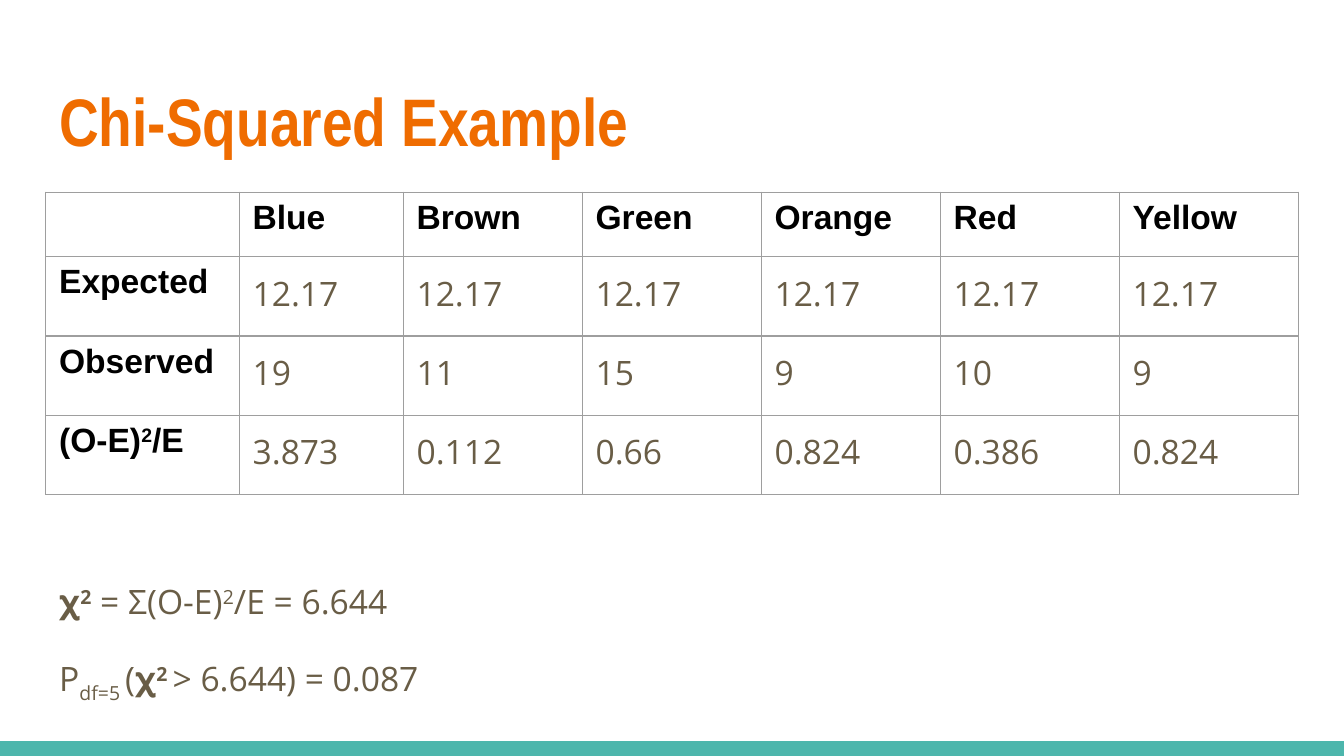
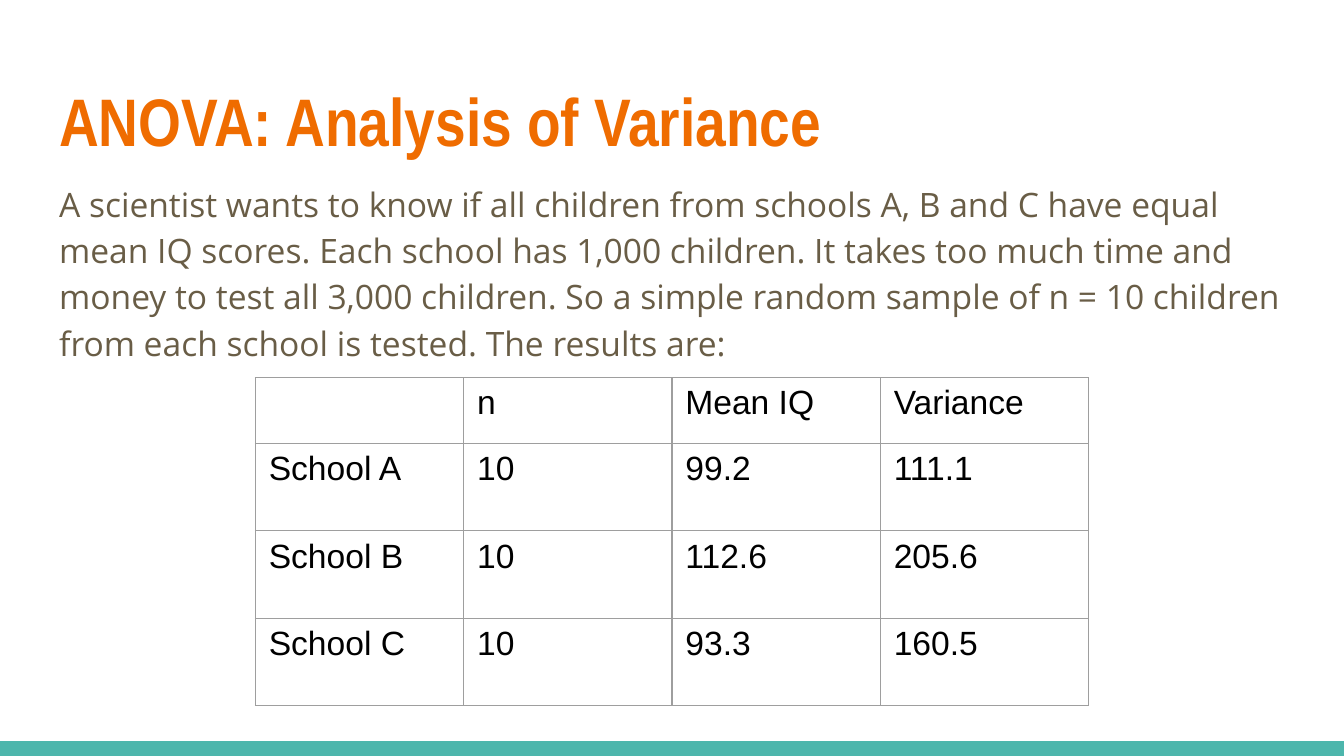
from dataclasses import dataclass

from lxml import etree
from pptx import Presentation
from pptx.dml.color import RGBColor
from pptx.enum.shapes import MSO_SHAPE
from pptx.enum.text import MSO_ANCHOR, MSO_AUTO_SIZE, PP_ALIGN
from pptx.oxml.ns import qn
from pptx.util import Inches, Pt

RECTANGLE = MSO_SHAPE.RECTANGLE
TOP, BOTTOM = MSO_ANCHOR.TOP, MSO_ANCHOR.BOTTOM
NO_AUTOFIT = MSO_AUTO_SIZE.NONE
LEFT = PP_ALIGN.LEFT

SUPERSCRIPT, SUBSCRIPT = 30, -25


@dataclass(frozen=True)
class TextStyle:
    font: str
    size: int
    color: str
    bold: bool = False
    line_spacing: float = 1.0
    space_after: int = 0


@dataclass(frozen=True)
class Theme:
    band: str = "4DB6AC"
    border: str = "9E9E9E"
    border_width: float = 0.75
    paragraph_gap: int = 16
    title: TextStyle = TextStyle("Arial Narrow", 36, "EF6C00", bold=True)
    body: TextStyle = TextStyle("Open Sans", 18, "695D46", line_spacing=1.15)
    label: TextStyle = TextStyle("Arial", 18, "000000", bold=True)
    plain: TextStyle = TextStyle("Arial", 18, "000000")
    value: TextStyle = TextStyle("Open Sans", 18, "695D46",
                                 line_spacing=1.15, space_after=16)


THEME = Theme()
PAGE_WIDTH = 10
PAGE_HEIGHT = PAGE_WIDTH * 9 / 16
MARGIN, CONTENT_WIDTH = 0.34, 9.32
BAND_HEIGHT = 0.11


@dataclass(frozen=True)
class Span:
    text: str
    bold: bool = False
    baseline: int = 0


# Text
def write_paragraph(para, content, style, space_before=0):
    """Fill a paragraph from a string or a list of spans."""
    para.alignment = LEFT
    para.line_spacing = style.line_spacing
    para.space_before = Pt(space_before)
    para.space_after = Pt(style.space_after)
    font = para.font
    font.name = style.font
    font.size = Pt(style.size)
    font.bold = style.bold
    font.color.rgb = RGBColor.from_string(style.color)
    for span in [Span(content)] if isinstance(content, str) else content:
        run = para.add_run()
        run.text = span.text
        if span.bold:
            run.font.bold = True
        if span.baseline:
            run._r.get_or_add_rPr().set("baseline", str(span.baseline * 1000))


def remove_bullet(para):
    properties = para._p.get_or_add_pPr()
    properties.set("marL", "0")
    properties.set("indent", "0")
    etree.SubElement(properties, qn("a:buNone"))


def place_box(box, top, height, anchor=TOP, bottom_inset=0.1):
    box.left, box.top = Inches(MARGIN), Inches(top)
    box.width, box.height = Inches(CONTENT_WIDTH), Inches(height)
    frame = box.text_frame
    frame.word_wrap = True
    frame.auto_size = NO_AUTOFIT
    frame.vertical_anchor = anchor
    frame.margin_left = frame.margin_right = frame.margin_top = Inches(0.1)
    frame.margin_bottom = Inches(bottom_inset)
    return frame


def add_body(page, paragraphs, top, height, **placement):
    frame = place_box(page.placeholders[1], top, height, **placement)
    for index, content in enumerate(paragraphs):
        para = frame.add_paragraph() if index else frame.paragraphs[0]
        remove_bullet(para)
        write_paragraph(para, content, THEME.body,
                        THEME.paragraph_gap if index else 0)


# Page with title and footer band
def add_page(deck, title):
    page = deck.slides.add_slide(deck.slide_layouts[1])
    band = page.shapes.add_shape(
        RECTANGLE, 0, Inches(PAGE_HEIGHT - BAND_HEIGHT),
        Inches(PAGE_WIDTH), Inches(BAND_HEIGHT))
    band.shadow.inherit = False
    band.fill.solid()
    band.fill.fore_color.rgb = RGBColor.from_string(THEME.band)
    band.line.fill.background()
    frame = place_box(page.shapes.title, 0.49, 0.77)
    write_paragraph(frame.paragraphs[0], title, THEME.title)
    return page


# Tables
def draw_borders(cell):
    properties = cell._tc.get_or_add_tcPr()
    for side in ("lnL", "lnR", "lnT", "lnB"):
        line = etree.SubElement(properties, qn(f"a:{side}"),
                                w=str(Pt(THEME.border_width)))
        fill = etree.SubElement(line, qn("a:solidFill"))
        etree.SubElement(fill, qn("a:srgbClr"), val=THEME.border)


def add_grid(page, rows, left, top, widths, heights, label_style, value_style):
    """Add a bordered table whose first row and column hold labels."""
    table = page.shapes.add_table(
        len(rows), len(widths), Inches(left), Inches(top),
        Inches(sum(widths)), Inches(sum(heights))).table
    table.first_row = table.horz_banding = False
    for column, width in zip(table.columns, widths):
        column.width = Inches(width)
    for row, height in zip(table.rows, heights):
        row.height = Inches(height)
    for r, contents in enumerate(rows):
        for c, content in enumerate(contents):
            cell = table.cell(r, c)
            cell.margin_left = cell.margin_right = Inches(0.1)
            cell.margin_top = cell.margin_bottom = Inches(0.05)
            draw_borders(cell)
            cell.fill.background()
            if content:
                style = value_style if r and c else label_style
                write_paragraph(cell.text_frame.paragraphs[0], content, style)


# Slides
def add_chi_squared(deck):
    page = add_page(deck, "Chi-Squared Example")
    squared = Span("2", baseline=SUPERSCRIPT)
    formulas = [
        [Span("𝛘"), Span("2", True, SUPERSCRIPT), Span(" = Σ(O-E)"),
         squared, Span("/E = 6.644")],
        [Span("P"), Span("df=5 ", baseline=SUBSCRIPT), Span("(𝛘"),
         Span("2 ", True, SUPERSCRIPT), Span("> 6.644) = 0.087")],
    ]
    add_body(page, formulas, 1.39, 4.09, anchor=BOTTOM, bottom_inset=0.24)
    rows = [
        ["", "Blue", "Brown", "Green", "Orange", "Red", "Yellow"],
        ["Expected"] + ["12.17"] * 6,
        ["Observed", "19", "11", "15", "9", "10", "9"],
        [[Span("(O-E)"), squared, Span("/E")],
         "3.873", "0.112", "0.66", "0.824", "0.386", "0.824"],
    ]
    first_widths = [1.44, 1.22]
    color_width = (CONTENT_WIDTH - sum(first_widths)) / 5
    add_grid(page, rows, MARGIN, 1.43, first_widths + [color_width] * 5,
             [0.48] + [0.59] * 3, THEME.label, THEME.value)


def add_anova(deck):
    page = add_page(deck, "ANOVA: Analysis of Variance")
    question = (
        "A scientist wants to know if all children from schools A, B and C "
        "have equal mean IQ scores. Each school has 1,000 children. It takes "
        "too much time and money to test all 3,000 children. So a simple "
        "random sample of n = 10 children from each school is tested. "
        "The results are:")
    add_body(page, [question], 1.22, 4.24)
    rows = [
        ["", "n", "Mean IQ", "Variance"],
        ["School A", "10", "99.2", "111.1"],
        ["School B", "10", "112.6", "205.6"],
        ["School C", "10", "93.3", "160.5"],
    ]
    add_grid(page, rows, 1.9, 2.81, [1.55] * 4,
             [0.49] + [0.65] * 3, THEME.plain, THEME.plain)


def main():
    deck = Presentation()
    deck.slide_width = Inches(PAGE_WIDTH)
    deck.slide_height = Inches(PAGE_HEIGHT)
    add_chi_squared(deck)
    add_anova(deck)
    deck.save("out.pptx")


if __name__ == "__main__":
    main()
